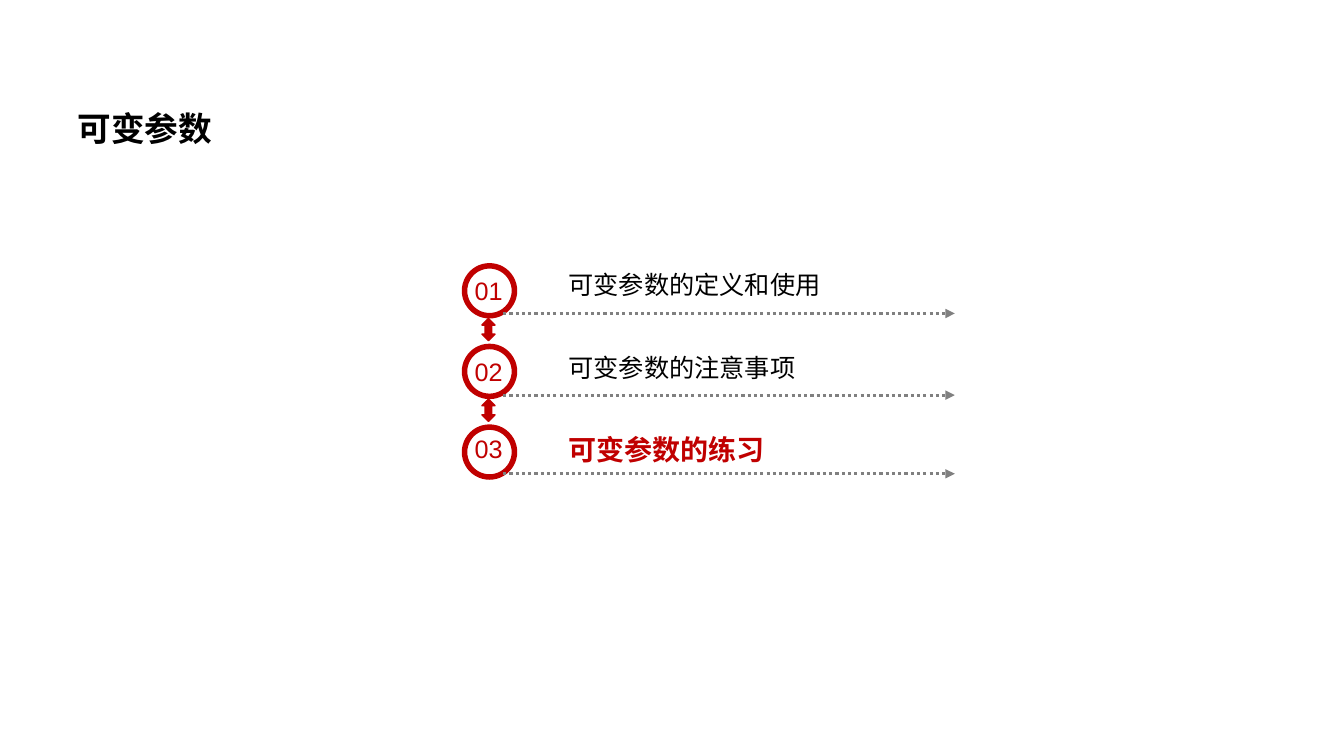
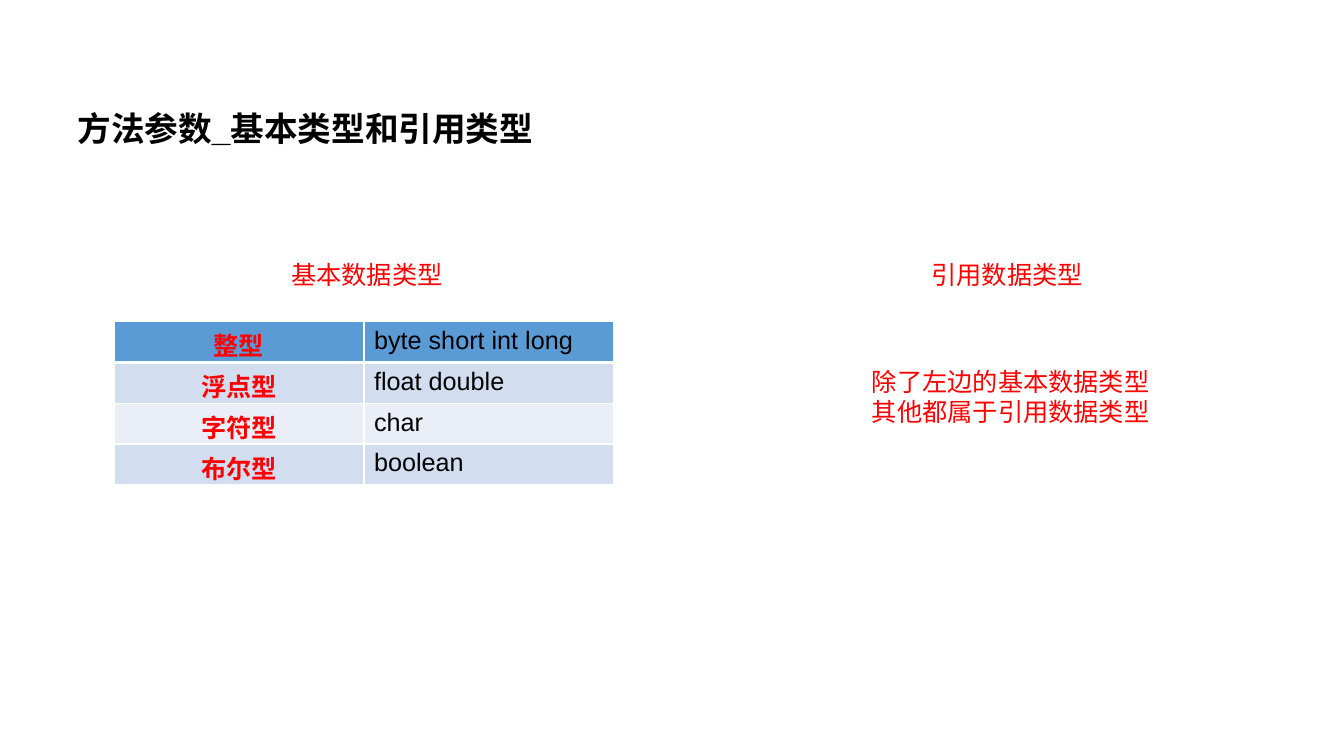
from lxml import etree
from pptx import Presentation
from pptx import util as u
from pptx.dml import color
from pptx.enum import dml, shapes, text
from pptx.oxml import ns

COLORS = {
    "black": "000000", "white": "FFFFFF", "dark_red": "C00000", "red": "FF0000",
    "gray": "808080", "header": "5B9BD5", "band": "D2DEEF", "light": "EAEFF7",
}


def rgb(name):
    return color.RGBColor.from_string(COLORS[name])


class Deck:
    font = "Arial"
    size = 18

    def __init__(self):
        self.prs = Presentation()
        self.prs.slide_width = u.Inches(13.33)
        self.prs.slide_height = u.Inches(7.5)
        self.s = None

    def slide(self, title):
        self.s = self.prs.slides.add_slide(self.prs.slide_layouts[6])
        sp = self.text(title, 0.67, 0.82, 11.74, 0.63, size=24, bold=True)
        sp.text_frame.paragraphs[0].line_spacing = 1.5

    def format(self, tf, name, size, bold):
        for p in tf.paragraphs:
            for r in p.runs:
                r.font.name = self.font
                r.font.size = u.Pt(size)
                r.font.bold = bold
                r.font.color.rgb = rgb(name)

    def text(self, words, x, y, w, h=0.4, name="black", size=size, bold=False, wrap=True):
        sp = self.s.shapes.add_textbox(u.Inches(x), u.Inches(y), u.Inches(w), u.Inches(h))
        tf = sp.text_frame
        tf.text = words
        tf.word_wrap = wrap
        tf.auto_size = text.MSO_AUTO_SIZE.SHAPE_TO_FIT_TEXT
        self.format(tf, name, size, bold)
        return sp

    def shape(self, kind, x, y, w, h, name, line=None):
        sp = self.s.shapes.add_shape(kind, u.Inches(x), u.Inches(y), u.Inches(w), u.Inches(h))
        sp.shadow.inherit = False
        sp.fill.solid()
        sp.fill.fore_color.rgb = rgb(name)
        if line:
            sp.line.color.rgb = rgb(name)
            sp.line.width = u.Pt(line)
        else:
            sp.line.fill.background()
        return sp

    def arrow(self, x1, x2, y):
        cn = self.s.shapes.add_connector(
            shapes.MSO_CONNECTOR.STRAIGHT, u.Inches(x1), u.Inches(y), u.Inches(x2), u.Inches(y))
        cn.line.color.rgb = rgb("gray")
        cn.line.width = u.Pt(2.25)
        cn.line.dash_style = dml.MSO_LINE.ROUND_DOT
        spPr = cn._element.spPr
        etree.SubElement(spPr.find(ns.qn("a:ln")), ns.qn("a:tailEnd"), type="triangle")
        etree.SubElement(spPr, ns.qn("a:effectLst"))

    def border(self, cell, **widths):
        tcPr = cell._tc.get_or_add_tcPr()
        for side in "LRTB":
            ln = etree.SubElement(tcPr, ns.qn(f"a:ln{side}"), w=str(u.Pt(widths.get(side, 1))))
            fill = etree.SubElement(ln, ns.qn("a:solidFill"))
            etree.SubElement(fill, ns.qn("a:srgbClr"), val=COLORS["white"])

    def table(self, rows, x, y, w, h):
        tbl = self.s.shapes.add_table(
            len(rows), len(rows[0]), u.Inches(x), u.Inches(y), u.Inches(w), u.Inches(h)).table
        for i, row in enumerate(rows):
            fill = "header" if i == 0 else "band" if i % 2 else "light"
            for j, words in enumerate(row):
                cell = tbl.cell(i, j)
                self.border(cell, T=3 if i == 1 else 1, B=3 if i == 0 else 1)
                cell.fill.solid()
                cell.fill.fore_color.rgb = rgb(fill)
                tf = cell.text_frame
                tf.text = words
                is_label = j == 0
                self.format(tf, "red" if is_label else "black", self.size, is_label)
                if is_label:
                    tf.paragraphs[0].alignment = text.PP_ALIGN.CENTER


def agenda(deck):
    deck.slide("可变参数")
    top, pitch, ring = 2.61, 0.8, 0.55
    items = [
        ("可变参数的定义和使用", 2.62, 2.68, 3.11),
        ("可变参数的注意事项", 3.45, 3.49, 3.92),
        ("可变参数的练习", 4.24, 4.25, 4.7),
    ]
    for i, (words, text_y, number_y, line_y) in enumerate(items):
        y = top + i * pitch
        sp = deck.shape(shapes.MSO_SHAPE.DONUT, 4.58, y, ring, ring, "dark_red")
        sp.adjustments[0] = 0.1
        deck.text(f"{i + 1:02d}", 4.61, number_y, 0.48, name="dark_red", wrap=False)
        deck.arrow(4.99, 9.47, line_y)
        if i == len(items) - 1:
            deck.text(words, 5.54, text_y, 3.96, 0.44, "dark_red", 20, True)
        else:
            deck.text(words, 5.54, text_y, 3.96)
            deck.shape(shapes.MSO_SHAPE.UP_DOWN_ARROW, 4.78, y + ring, 0.13, 0.22, "dark_red", 1)


def data_types(deck):
    deck.slide("方法参数_基本类型和引用类型")
    for words, x in (("基本数据类型", 2.79), ("引用数据类型", 9.14)):
        deck.text(words, x, 2.52, 1.86, name="red")
    deck.table([
        ("整型", "byte short int long"),
        ("浮点型", "float double"),
        ("字符型", "char"),
        ("布尔型", "boolean"),
    ], 1.13, 3.19, 4.96, 1.62)
    deck.text("除了左边的基本数据类型其他都属于引用数据类型", 8.55, 3.58, 3.15, 0.71, "red")


def main():
    deck = Deck()
    agenda(deck)
    data_types(deck)
    deck.prs.save("out.pptx")


if __name__ == "__main__":
    main()
